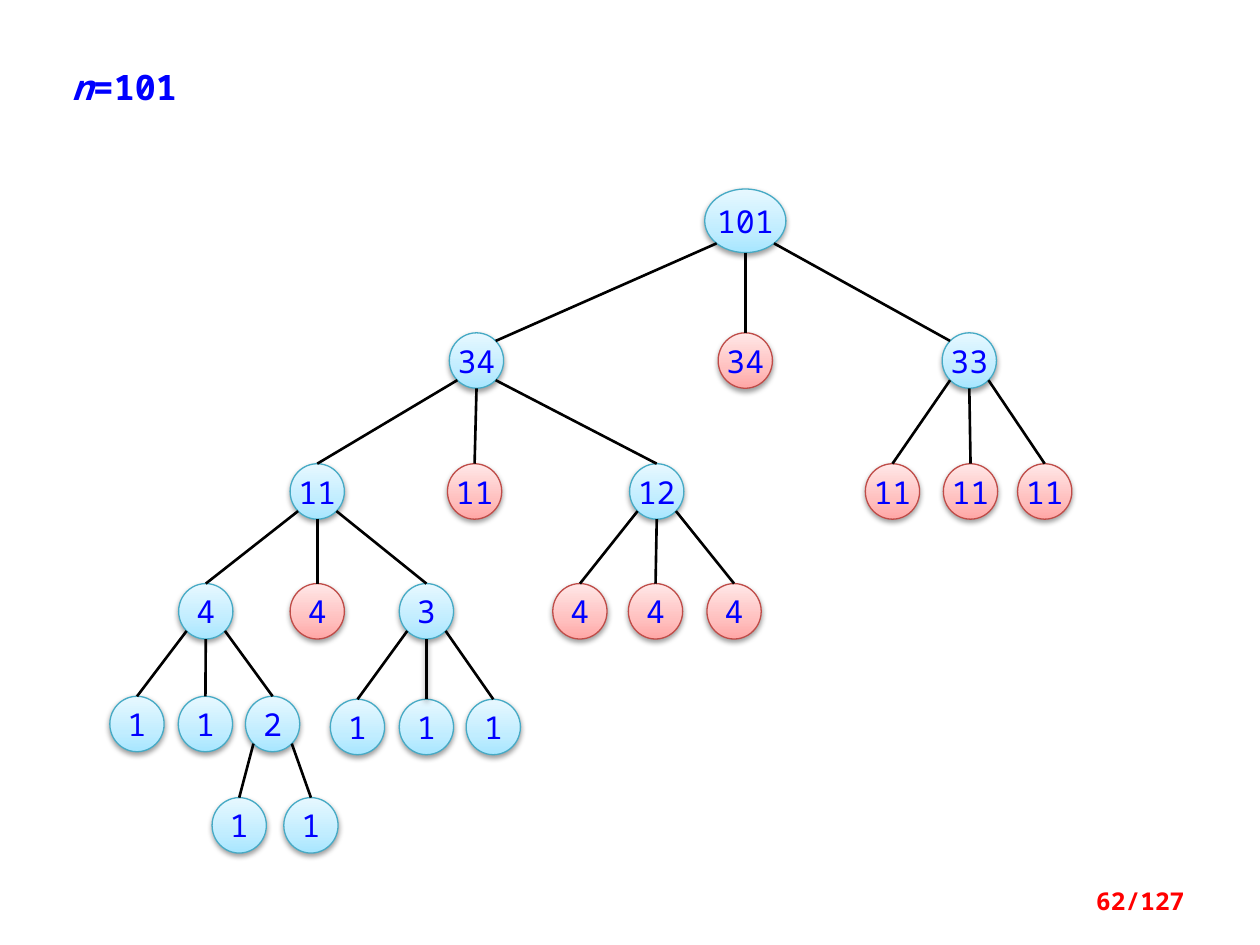
"""Build a slide with the recursion tree for n=101."""
from copy import deepcopy
from math import sqrt

from lxml import etree
from pptx import Presentation
from pptx.dml.color import RGBColor
from pptx.enum import shapes, text
from pptx.oxml.ns import qn
from pptx.util import Pt

FONT = "Noto Sans Mono"
BLACK = RGBColor(0x00, 0x00, 0x00)
BLUE = RGBColor(0x00, 0x00, 0xFF)
RED = RGBColor(0xFF, 0x00, 0x00)
NEW = (RGBColor(0x46, 0xAA, 0xC5), RGBColor(0xA7, 0xE6, 0xFF),
       RGBColor(0xC1, 0xED, 0xFF), RGBColor(0xE7, 0xF8, 0xFF))
OLD = (RGBColor(0xBF, 0x4C, 0x48), RGBColor(0xFF, 0xA6, 0xA5),
       RGBColor(0xFF, 0xC0, 0xBF), RGBColor(0xFF, 0xE7, 0xE7))
WIDE, HIGH = 31, 31.7
DIAG = 1 / sqrt(2)


def write(para, words, size, color, bold=False, slant=False):
    """Add one formatted run to a paragraph."""
    font = para.add_run()
    font.text = words
    font = font.font
    font.name, font.size, font.bold, font.italic = FONT, Pt(size), bold, slant
    font.color.rgb = color


def cast(item, dark):
    """Set a soft drop shadow, or none at all."""
    glow = etree.SubElement(item.element.spPr, qn("a:effectLst"))
    if dark:
        drop = etree.SubElement(glow, qn("a:outerShdw"), blurRad=str(Pt(3.1)),
                                dist=str(Pt(1.6)), dir="5400000", rotWithShape="0")
        tint = etree.SubElement(drop, qn("a:srgbClr"), val=str(BLACK))
        etree.SubElement(tint, qn("a:alpha"), val="38000")


deck = Presentation()
deck.slide_width, deck.slide_height = Pt(720), Pt(540)
slide = deck.slides.add_slide(deck.slide_layouts[5])

title = slide.shapes.title
title.left, title.top, title.width, title.height = Pt(33.8), Pt(33.8), Pt(112.3), Pt(31.5)
frame = title.text_frame
frame.word_wrap = True
frame.auto_size = text.MSO_AUTO_SIZE.SHAPE_TO_FIT_TEXT
frame.vertical_anchor = text.MSO_ANCHOR.TOP
para = frame.paragraphs[0]
para.alignment = text.PP_ALIGN.LEFT
write(para, "n", 20, BLUE, True, True)
write(para, "=101", 20, BLUE, True)

nodes = [("101", 425.9, 108, 46.4, 36.4, NEW)]
edges = []
trees = [
    (0, 190.2, [("34", 272.3, NEW), ("34", 425.9, OLD), ("33", 553.9, NEW)]),
    (1, 265, [("11", 181.3, NEW), ("11", 271.2, OLD), ("12", 375.3, NEW)]),
    (3, 265, [("11", 510, OLD), ("11", 554.6, OLD), ("11", 597, OLD)]),
    (4, 333.5, [("4", 117.6, NEW), ("4", 181.3, OLD), ("3", 243.7, NEW)]),
    (6, 333.5, [("4", 331.4, OLD), ("4", 374.6, OLD), ("4", 419.5, OLD)]),
    (10, 397.9, [("1", 78.3, NEW), ("1", 117.4, NEW), ("2", 155.8, NEW)]),
    (12, 399.6, [("1", 204.3, NEW), ("1", 243.7, NEW), ("1", 281.9, NEW)]),
    (18, 455.8, [("1", 136.7, NEW), ("1", 177.7, NEW)]),
]
for root, top, kids in trees:
    sides = (-1, 0, 1) if len(kids) == 3 else (-1, 1)
    for side, (word, mid, look) in zip(sides, kids):
        edges.append((root, side, len(nodes)))
        nodes.append((word, mid, top, WIDE, HIGH, look))

for word, mid, top, wide, high, (edge, *tones) in nodes:
    node = slide.shapes.add_shape(shapes.MSO_SHAPE.OVAL, Pt(mid - wide / 2), Pt(top),
                                  Pt(wide), Pt(high))
    node.fill.gradient()
    node.fill.gradient_angle = 90
    stops = node.element.spPr.find(".//" + qn("a:gsLst"))
    stops.append(deepcopy(stops[0]))
    for stop, tone, spot in zip(node.fill.gradient_stops, tones, (0, 0.35, 1)):
        stop.color.rgb, stop.position = tone, spot
    node.line.color.rgb, node.line.width = edge, Pt(0.75)
    cast(node, True)
    frame = node.text_frame
    frame.margin_left = frame.margin_right = frame.margin_top = frame.margin_bottom = 0
    frame.vertical_anchor = text.MSO_ANCHOR.MIDDLE
    para = frame.paragraphs[0]
    para.alignment = text.PP_ALIGN.CENTER
    write(para, word, 18, BLUE)

for root, side, kid in edges:
    name, mid, top, wide, high, look = nodes[root]
    end, low = nodes[kid][1:3]
    drop = high / 2 * (1 + (DIAG if side else 1))
    if root == 0 and side:
        end -= side * WIDE / 2 * DIAG
        low += HIGH / 2 * (1 - DIAG)
    link = slide.shapes.add_connector(
        shapes.MSO_CONNECTOR.STRAIGHT, Pt(mid + side * wide / 2 * DIAG), Pt(top + drop),
        Pt(end), Pt(low))
    link.line.color.rgb, link.line.width = BLACK, Pt(1.5)
    cast(link, name == "3" and side == 0)

page = slide.shapes.add_textbox(Pt(516), Pt(500.5), Pt(168), Pt(28.8))
frame = page.text_frame
frame.word_wrap = True
frame.vertical_anchor = text.MSO_ANCHOR.MIDDLE
para = frame.paragraphs[0]
para.alignment = text.PP_ALIGN.RIGHT
write(para, "62/127", 14, RED, True)

deck.save("out.pptx")
